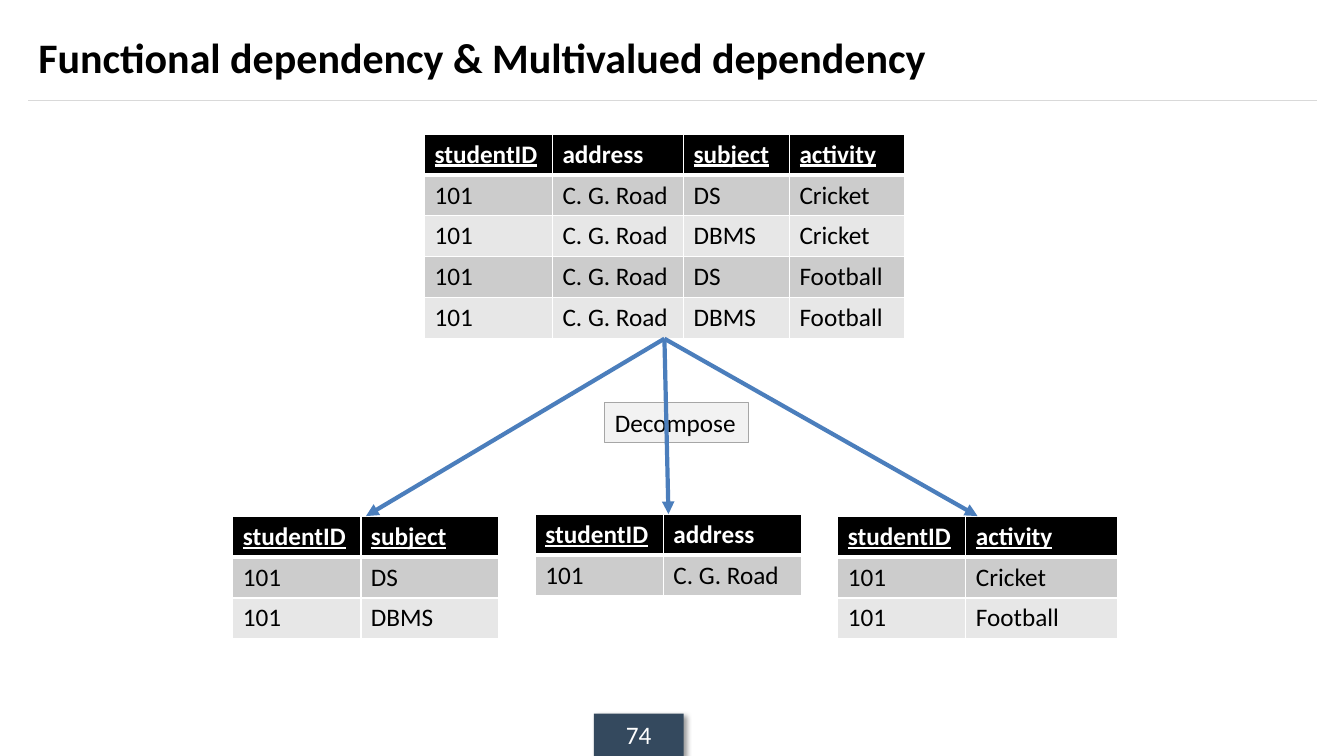
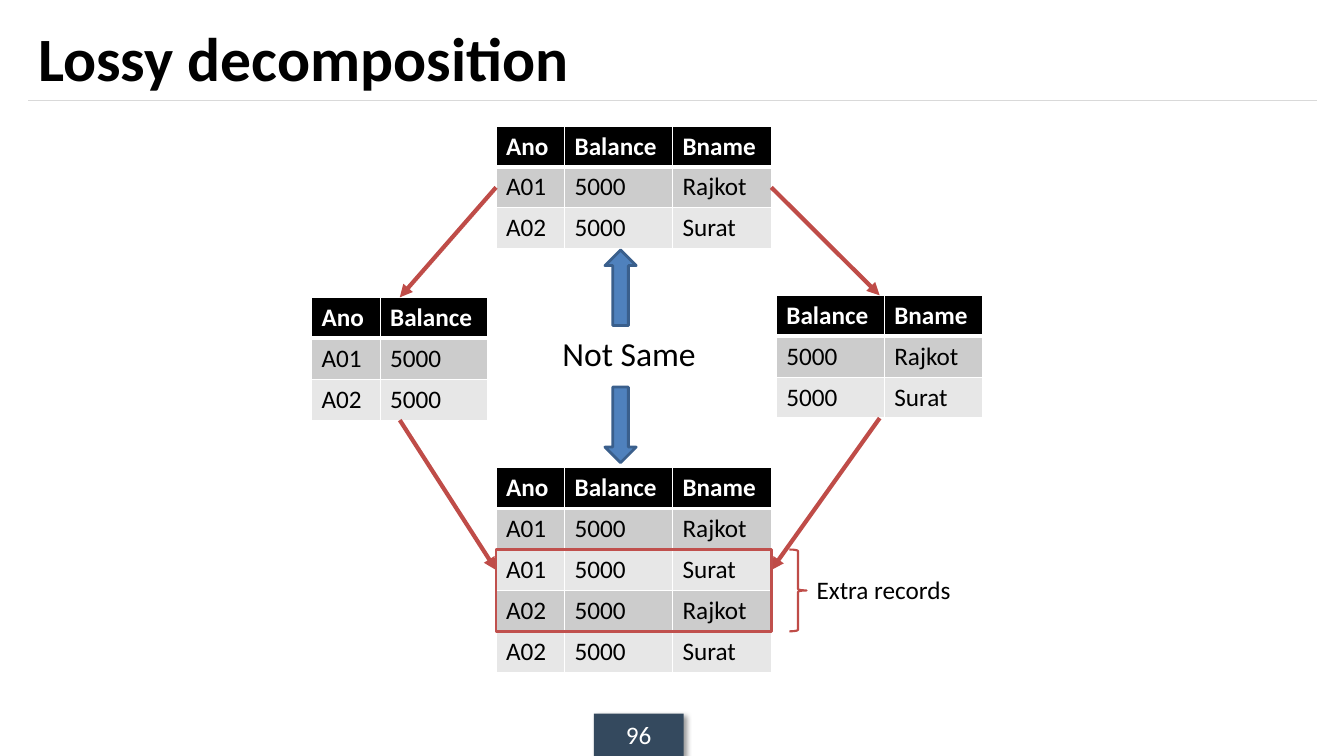
"""Build two slides on decomposing database relations."""
from lxml import etree
from pptx import Presentation
from pptx import util as u
from pptx.dml import color
from pptx.enum import shapes, text
from pptx.oxml import ns, xmlchemy

FONT = "Calibri"
BLACK, WHITE = "000000", "FFFFFF"
BANDS = ("CCCCCC", "E7E7E7")
RULE, BADGE = "D9D9D9", "34495E"
BLUE, BLUE_FILL, BLUE_EDGE = "4B7EBC", "4F81BD", "3A5F8C"
RED, RED_EDGE = "BF4C48", "C0504D"
ROW_HEIGHT = u.Inches(2.03 / 5)
ANO, BALANCE, BNAME = 0.68, 1.07, 0.98
BODY = {"name": FONT, "size": u.Pt(18), "bold": False}
HEADER = {**BODY, "bold": True}
KEY = {**HEADER, "underline": True}
LABEL_FRAME = {
    "word_wrap": True,
    "auto_size": text.MSO_AUTO_SIZE.SHAPE_TO_FIT_TEXT,
    "vertical_anchor": text.MSO_ANCHOR.TOP,
}
CENTRED_FRAME = {"word_wrap": True, "vertical_anchor": text.MSO_ANCHOR.MIDDLE}


def rgb(hex_code):
    """Turn a hex string into a colour."""
    return color.RGBColor.from_string(hex_code)


def inches(*lengths):
    """Convert several lengths to inches."""
    return [u.Inches(length) for length in lengths]


def apply(target, values):
    """Set attributes of an object from a dict."""
    for name, value in values.items():
        setattr(target, name, value)


def paint(shape, fill=None, line=None, width=0.75):
    """Set the fill and outline of a shape and drop its shadow."""
    shape.shadow.inherit = False
    if fill:
        shape.fill.solid()
        shape.fill.fore_color.rgb = rgb(fill)
    else:
        shape.fill.background()
    if line:
        shape.line.color.rgb = rgb(line)
        shape.line.width = u.Pt(width)
    else:
        shape.line.fill.background()


def write(frame, words, font, hex_code=BLACK, align=text.PP_ALIGN.LEFT):
    """Write one formatted paragraph into a text frame."""
    para = frame.paragraphs[0]
    para.alignment = align
    span = para.add_run()
    span.text = words
    apply(span.font, font)
    span.font.color.rgb = rgb(hex_code)


def add_box(page, kind, place, **colours):
    """Add a painted preset shape at an EMU place."""
    box = page.shapes.add_shape(kind, *place)
    paint(box, **colours)
    return box


def add_label(page, words, place, size=18):
    """Add a plain text label."""
    box = page.shapes.add_textbox(*inches(*place))
    apply(box.text_frame, LABEL_FRAME)
    write(box.text_frame, words, {**BODY, "size": u.Pt(size)})


def add_line(page, start, end, hex_code, width, arrow=False):
    """Add a straight line between two points, with an optional arrowhead."""
    line = page.shapes.add_connector(shapes.MSO_CONNECTOR.STRAIGHT, *start, *end)
    line.line.color.rgb = rgb(hex_code)
    line.line.width = u.Pt(width)
    if arrow:
        etree.SubElement(line.line._get_or_add_ln(), ns.qn("a:tailEnd"), type="triangle")
    etree.SubElement(line._element.spPr, ns.qn("a:effectLst"))


def add_shadow(shape):
    """Give a shape a soft shadow to the lower right."""
    effects = shape._element.spPr.find(ns.qn("a:effectLst"))
    shadow = etree.SubElement(
        effects, ns.qn("a:outerShdw"), blurRad=str(u.Pt(4)), dist=str(u.Pt(3)),
        dir="2700000", algn="tl", rotWithShape="0")
    tint = etree.SubElement(shadow, ns.qn("a:srgbClr"), val=BLACK)
    etree.SubElement(tint, ns.qn("a:alpha"), val="40000")


def add_borders(cell, bottom):
    """Draw white cell borders with a given bottom width."""
    for side, width in (("L", 1), ("R", 1), ("T", 1), ("B", bottom)):
        edge = etree.SubElement(
            cell._tc.get_or_add_tcPr(), ns.qn(f"a:ln{side}"), w=str(u.Pt(width)))
        fill = etree.SubElement(edge, ns.qn("a:solidFill"))
        etree.SubElement(fill, ns.qn("a:srgbClr"), val=WHITE)


def add_relation(page, left, top, widths, rows, keys=()):
    """Add a relation as a table, with its key columns underlined."""
    frame = page.shapes.add_table(
        len(rows), len(widths), *inches(left, top, sum(widths)), ROW_HEIGHT * len(rows))
    table = frame.table
    for column, width in zip(table.columns, widths):
        column.width = u.Inches(width)
    for r, row in enumerate(rows):
        table.rows[r].height = ROW_HEIGHT
        for c, words in enumerate(row):
            cell = table.cell(r, c)
            head = r == 0
            add_borders(cell, 3 if head else 1)
            cell.fill.solid()
            cell.fill.fore_color.rgb = rgb(BLACK if head else BANDS[(r - 1) % 2])
            font = (KEY if words in keys else HEADER) if head else BODY
            write(cell.text_frame, words, font, WHITE if head else BLACK)
    return frame


def site(frame, x, y):
    """Return the point at a fraction of a frame's width and height."""
    return int(frame.left + frame.width * x), int(frame.top + frame.height * y)


def add_page(deck, title, size, number):
    """Add a slide with its title, rule and page number badge."""
    page = deck.slides.add_slide(deck.slide_layouts[5])
    add_line(page, inches(0.28, 1), inches(13.06, 1), RULE, 0.75)
    badge = add_box(page, shapes.MSO_SHAPE.RECTANGLE, inches(5.89, 7.08, 0.89, 0.42), fill=BADGE)
    add_shadow(badge)
    apply(badge.text_frame, CENTRED_FRAME)
    write(badge.text_frame, number, BODY, WHITE, text.PP_ALIGN.CENTER)
    heading = page.shapes.title
    places = inches(0.28, 0.12, 12.78, 0.88)
    apply(heading, dict(zip(("left", "top", "width", "height"), places)))
    apply(heading.text_frame, CENTRED_FRAME)
    write(heading.text_frame, title, {**HEADER, "size": u.Pt(size)})
    return page


def build_dependency(deck):
    """Show one relation decomposed into three."""
    page = add_page(deck, "Functional dependency & Multivalued dependency", 30, "74")
    keys = ("studentID", "subject", "activity")
    road = "C. G. Road"
    records = [("101", road, subject, activity)
               for activity in ("Cricket", "Football") for subject in ("DS", "DBMS")]
    whole = add_relation(
        page, 4.21, 1.33, (1.27, 1.3, 1.05, 1.14),
        [("studentID", "address", "subject", "activity"), *records], keys)
    parts = [
        (2.31, 5.12, 1.37, "subject", ("DS", "DBMS")),
        (8.31, 5.12, 1.5, "activity", ("Cricket", "Football")),
        (5.31, 5.1, 1.37, "address", (road,)),
    ]
    for left, top, width, field, values in parts:
        if field == "address":
            box = add_box(page, shapes.MSO_SHAPE.RECTANGLE, inches(6, 3.99, 1.42, 0.4),
                          fill="F2F2F2", line="A6A6A6")
            apply(box.text_frame, LABEL_FRAME)
            write(box.text_frame, "Decompose", BODY)
        rows = [("studentID", field), *(("101", value) for value in values)]
        part = add_relation(page, left, top, (1.27, width), rows, keys)
        add_line(page, site(whole, 0.5, 1), site(part, 0.5, 0), BLUE, 3, True)


def build_lossy(deck):
    """Show a decomposition whose join brings extra records."""
    page = add_page(deck, "Lossy decomposition", 44, "96")
    names = ("Ano", "Balance", "Bname")
    widths = (ANO, BALANCE, BNAME)
    first, last = ("A01", "5000", "Rajkot"), ("A02", "5000", "Surat")
    extra = [("A01", "5000", "Surat"), ("A02", "5000", "Rajkot")]
    rows = [names, first, last]
    source = add_relation(page, 4.92, 1.25, widths, rows)
    left = add_relation(page, 3.09, 2.95, widths[:2], [row[:2] for row in rows])
    right = add_relation(page, 7.7, 2.93, widths[1:], [row[1:] for row in rows])
    joined = add_relation(page, 4.92, 4.64, widths, [names, first, *extra, last])
    for part, side in ((left, 0), (right, 1)):
        add_line(page, site(source, side, 0.5), site(part, 0.5, 0), RED, 3, True)
        add_line(page, site(part, 0.5, 1), site(joined, side, 0.5), RED, 3, True)

    top, height = joined.top + 2 * ROW_HEIGHT, 2 * ROW_HEIGHT
    add_box(page, shapes.MSO_SHAPE.RECTANGLE, (joined.left, top, joined.width, height),
            line=RED_EDGE, width=2)
    add_box(page, shapes.MSO_SHAPE.RIGHT_BRACE, (u.Inches(7.83), top, u.Inches(0.17), height),
            line=RED, width=1.5)
    add_label(page, "Extra records", (8, 5.65, 1.58, 0.4))
    add_label(page, "Not Same", (5.48, 3.25, 1.57, 0.5), 24)
    for kind, y in ((shapes.MSO_SHAPE.DOWN_ARROW, 3.84), (shapes.MSO_SHAPE.UP_ARROW, 2.48)):
        add_box(page, kind, inches(6, y, 0.31, 0.75), fill=BLUE_FILL, line=BLUE_EDGE, width=2)


def main():
    """Build and save the deck."""
    deck = Presentation()
    deck.slide_width, deck.slide_height = inches(13.33, 7.5)
    build_dependency(deck)
    build_lossy(deck)
    deck.save("out.pptx")


if __name__ == "__main__":
    main()
